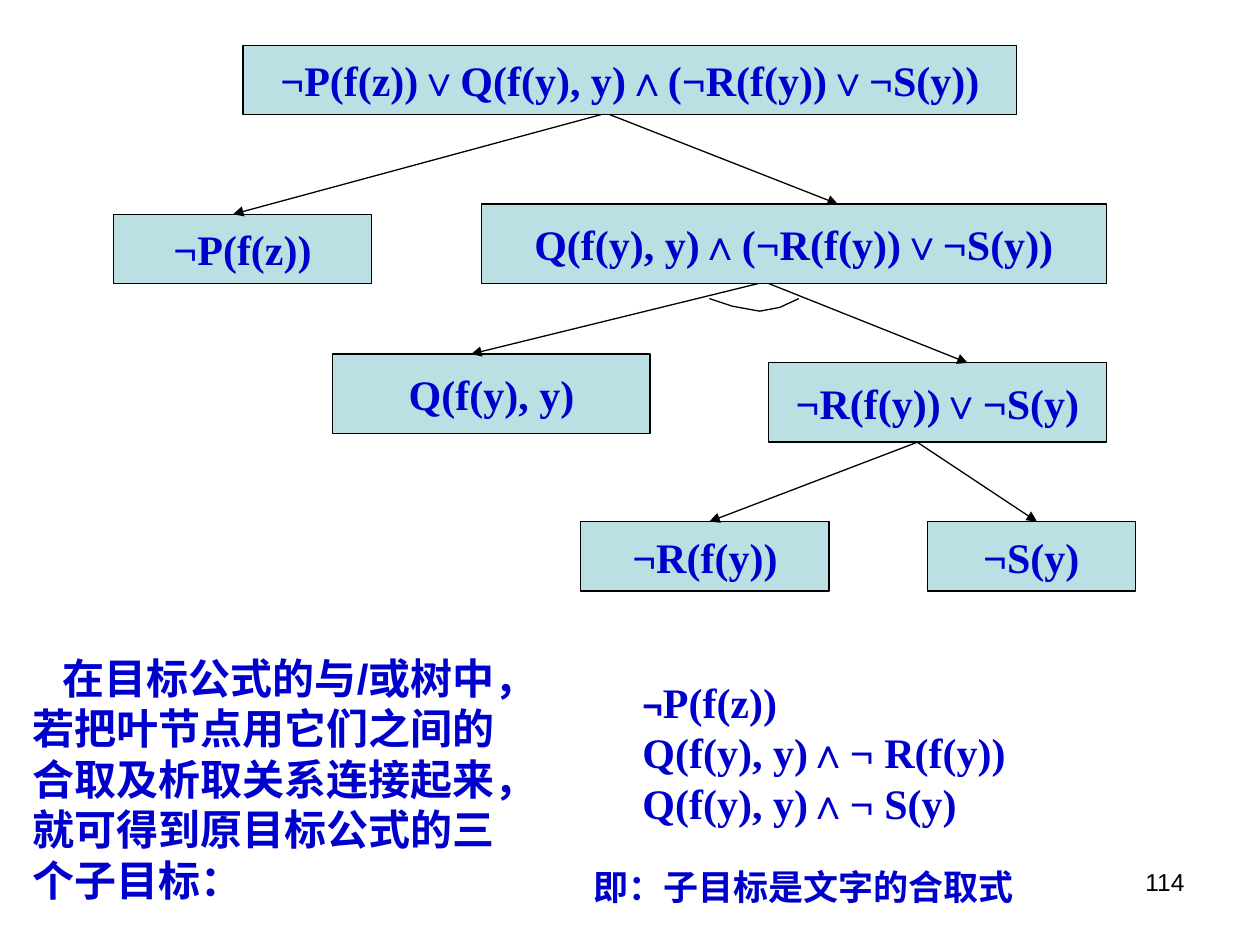
from typing import NamedTuple

from lxml.etree import SubElement
from pptx import Presentation
from pptx.dml.color import RGBColor
from pptx.enum.shapes import MSO_CONNECTOR, MSO_SHAPE
from pptx.enum.text import MSO_ANCHOR, PP_ALIGN
from pptx.oxml.ns import qn
from pptx.util import Inches, Pt

BLACK, BLUE, PALE_TEAL = "000000", "0000CC", "BBE0E3"
SANS, SERIF = "Arial", "Times New Roman"


class Node(NamedTuple):
    left: float
    top: float
    width: float
    height: float
    formula: str


class Arrow(NamedTuple):
    start: tuple[float, float]
    end: tuple[float, float]


class Span(NamedTuple):
    text: str
    size: float = 24
    font: str = SERIF
    color: str = BLUE
    bold: bool = True


class Note(NamedTuple):
    left: float
    top: float
    width: float
    height: float
    paragraphs: list[list[Span]]
    margin: float = 0
    indent: float = 0
    align: PP_ALIGN = PP_ALIGN.LEFT


NODES = [
    Node(1.93, 0.36, 6.14, 0.55, "¬P(f(z))∨Q(f(y), y)∧(¬R(f(y))∨¬S(y))"),
    Node(0.9, 1.7, 2.05, 0.55, "¬P(f(z))"),
    Node(3.82, 1.62, 4.96, 0.63, "Q(f(y), y)∧(¬R(f(y))∨¬S(y))"),
    Node(2.64, 2.81, 2.52, 0.63, "Q(f(y), y)"),
    Node(6.1, 2.88, 2.68, 0.63, "¬R(f(y))∨¬S(y)"),
    Node(4.61, 4.14, 1.97, 0.55, "¬R(f(y))"),
    Node(7.36, 4.14, 1.65, 0.55, "¬S(y)"),
]

ARROWS = [
    Arrow((4.77, 0.91), (1.85, 1.7)),
    Arrow((4.84, 0.91), (6.65, 1.62)),
    Arrow((6.02, 2.25), (3.74, 2.81)),
    Arrow((6.1, 2.25), (7.68, 2.88)),
    Arrow((7.28, 3.51), (5.63, 4.14)),
    Arrow((7.28, 3.51), (8.23, 4.14)),
]

AND_ARC = [(5.63, 2.37), (5.81, 2.43), (6.03, 2.47), (6.19, 2.44), (6.34, 2.37)]

NOTES = [
    Note(0.16, 5.13, 3.98, 2.1, [[Span(
        "在目标公式的与/或树中，若把叶节点用它们之间的合取及析取关系连接起来，"
        "就可得到原目标公式的三个子目标：", font=SANS)]], indent=0.24),
    Note(4.92, 5.32, 3.19, 1.3, [
        [Span("¬", 20, SANS), Span("P(f(z))")],
        [Span("Q(f(y), y)∧¬ R(f(y))")],
        [Span("Q(f(y), y)∧¬ S(y)")],
    ], margin=0.08),
    Note(4.61, 6.82, 3.86, 0.44, [[Span("即：子目标是文字的合取式", 20, SANS)]]),
    Note(7.17, 6.83, 2.33, 0.52, [[Span("114", 14, SANS, BLACK, False)]],
         align=PP_ALIGN.RIGHT),
]


def rgb(color: str) -> RGBColor:
    return RGBColor.from_string(color)


def set_line(shape) -> None:
    shape.line.color.rgb = rgb(BLACK)
    shape.line.width = Pt(0.75)


def add_span(para, span: Span) -> None:
    run = para.add_run()
    run.text = span.text
    run.font.size = Pt(span.size)
    run.font.name = span.font
    run.font.bold = span.bold
    run.font.color.rgb = rgb(span.color)


def draw_node(page, node: Node) -> None:
    box = page.shapes.add_shape(MSO_SHAPE.RECTANGLE, *map(Inches, node[:4]))
    box.shadow.inherit = False
    box.fill.solid()
    box.fill.fore_color.rgb = rgb(PALE_TEAL)
    set_line(box)
    frame = box.text_frame
    frame.word_wrap = False
    frame.vertical_anchor = MSO_ANCHOR.MIDDLE
    para = frame.paragraphs[0]
    para.alignment = PP_ALIGN.CENTER
    add_span(para, Span(node.formula))


def draw_arrow(page, arrow: Arrow) -> None:
    connector = page.shapes.add_connector(
        MSO_CONNECTOR.STRAIGHT, *map(Inches, arrow.start + arrow.end))
    set_line(connector)
    SubElement(connector.line._get_or_add_ln(), qn("a:tailEnd"), type="triangle")
    SubElement(connector._element.spPr, qn("a:effectLst"))


def draw_arc(page, points: list[tuple[float, float]]) -> None:
    corners = [(Inches(x), Inches(y)) for x, y in points]
    builder = page.shapes.build_freeform(*corners[0])
    builder.add_line_segments(corners[1:], close=False)
    arc = builder.convert_to_shape()
    arc.shadow.inherit = False
    arc.fill.background()
    set_line(arc)


def draw_note(page, note: Note) -> None:
    frame = page.shapes.add_textbox(*map(Inches, note[:4])).text_frame
    frame.word_wrap = True
    for index, spans in enumerate(note.paragraphs):
        para = frame.add_paragraph() if index else frame.paragraphs[0]
        para.alignment = note.align
        properties = para._p.get_or_add_pPr()
        properties.set("marL", str(Inches(note.margin)))
        properties.set("indent", str(Inches(note.indent)))
        for span in spans:
            add_span(para, span)


def main() -> None:
    deck = Presentation()
    deck.slide_width, deck.slide_height = Inches(10), Inches(7.5)
    page = deck.slides.add_slide(deck.slide_layouts[6])

    # And/or tree
    for node in NODES:
        draw_node(page, node)
    for arrow in ARROWS:
        draw_arrow(page, arrow)
    draw_arc(page, AND_ARC)

    # Explanation, subgoals and page number
    for note in NOTES:
        draw_note(page, note)

    deck.save("out.pptx")


if __name__ == "__main__":
    main()
